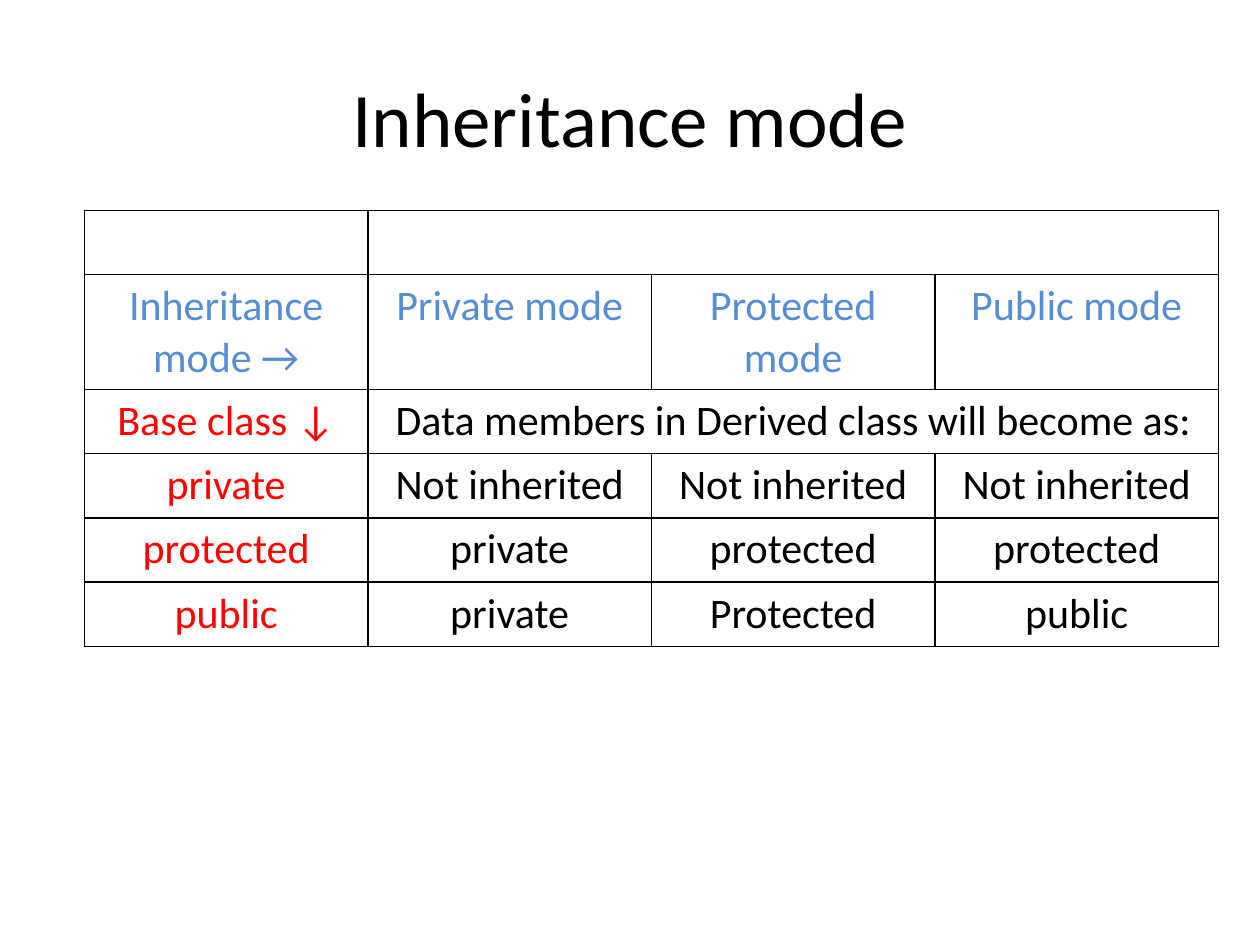
import pptx
import pptx.util
import pptx.dml.color
import pptx.enum.text
import pptx.oxml
import pptx.oxml.ns
from pptx.util import Inches

BLACK, BLUE, RED, WHITE = "000000", "558ED5", "FF0000", "FFFFFF"


def colour(hex_value):
    return pptx.dml.color.RGBColor.from_string(hex_value)


class SlideBuilder:
    font = "Calibri"
    title_size = 44
    body_size = 24
    border_width = 1

    def __init__(self, slide):
        self.slide = slide

    def background(self, fill):
        self.slide.background.fill.solid()
        self.slide.background.fill.fore_color.rgb = colour(fill)

    def add_text(self, frame, text, size, ink):
        paragraph = frame.paragraphs[0]
        paragraph.alignment = pptx.enum.text.PP_ALIGN.CENTER
        run = paragraph.add_run()
        run.text = text
        run.font.name = self.font
        run.font.size = pptx.util.Pt(size)
        run.font.color.rgb = colour(ink)

    def title(self, text, left, top, width, height):
        box = self.slide.shapes.add_textbox(
            Inches(left), Inches(top), Inches(width), Inches(height))
        frame = box.text_frame
        frame.word_wrap = True
        frame.vertical_anchor = pptx.enum.text.MSO_ANCHOR.MIDDLE
        self.add_text(frame, text, self.title_size, BLACK)

    def border(self, cell):
        properties = cell._tc.get_or_add_tcPr()
        width = pptx.util.Pt(self.border_width)
        for position, side in enumerate(("lnL", "lnR", "lnT", "lnB")):
            line = pptx.oxml.parse_xml(
                f'<a:{side} {pptx.oxml.ns.nsdecls("a")} w="{width}"><a:solidFill>'
                f'<a:srgbClr val="{BLACK}"/></a:solidFill></a:{side}>')
            properties.insert(position, line)

    def table(self, rows, heights, merged_rows, ink_for, left, top, width):
        grid = self.slide.shapes.add_table(
            len(rows), len(rows[0]), Inches(left), Inches(top),
            Inches(width), Inches(sum(heights))).table
        for row, height in zip(grid.rows, heights):
            row.height = Inches(height)
        for r, texts in enumerate(rows):
            for c, text in enumerate(texts):
                cell = grid.cell(r, c)
                cell.fill.background()
                self.border(cell)
                if text:
                    self.add_text(cell.text_frame, text, self.body_size, ink_for(r, c))
        for r in merged_rows:
            grid.cell(r, 1).merge(grid.cell(r, len(rows[0]) - 1))


def inheritance_ink(row, column):
    if row == 1:
        return BLUE
    return RED if column == 0 else BLACK


def main():
    presentation = pptx.Presentation()
    presentation.slide_width = Inches(10)
    presentation.slide_height = Inches(7.5)
    builder = SlideBuilder(
        presentation.slides.add_slide(presentation.slide_layouts[6]))
    builder.background(WHITE)

    # Title
    builder.title("Inheritance mode", 0.5, 0.3, 9, 1.25)

    # Access of base class members under each inheritance mode
    access_rows = [
        ["", "", "", ""],
        ["Inheritance mode →", "Private mode", "Protected mode", "Public mode"],
        ["Base class ↓", "Data members in Derived class will become as:", "", ""],
        ["private"] + ["Not inherited"] * 3,
        ["protected", "private", "protected", "protected"],
        ["public", "private", "Protected", "public"],
    ]
    row_heights = [0.51, 0.91] + [0.51] * 4
    builder.table(access_rows, row_heights, (0, 2), inheritance_ink, 0.67, 1.67, 9)

    presentation.save("out.pptx")


if __name__ == "__main__":
    main()
